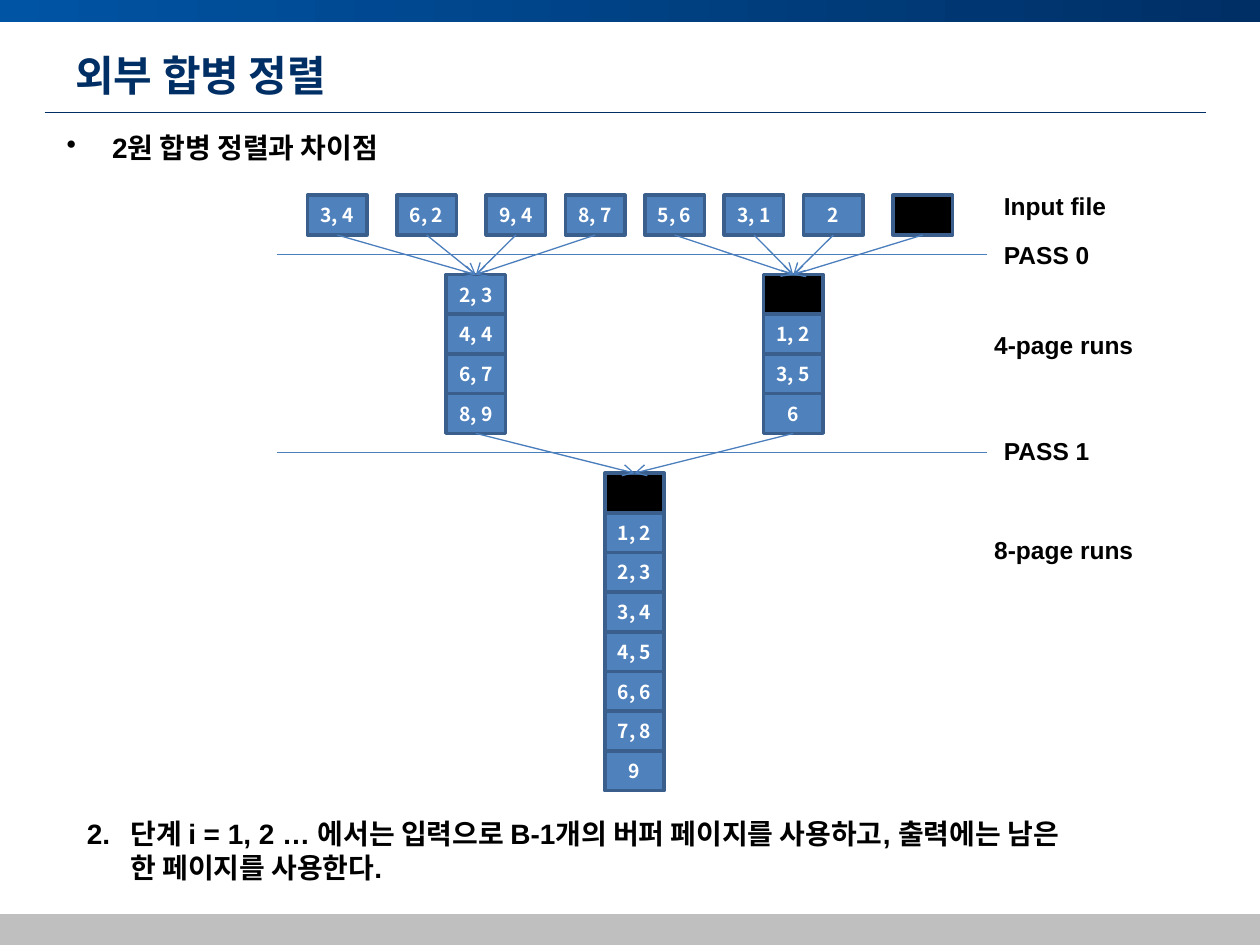
from dataclasses import dataclass
from itertools import accumulate

from pptx import Presentation
from pptx.dml.color import RGBColor
from pptx.enum.shapes import MSO_CONNECTOR as Connector, MSO_SHAPE as Shape
from pptx.enum.text import MSO_ANCHOR as Anchor, MSO_AUTO_SIZE as AutoSize, PP_ALIGN as Align
from pptx.oxml.ns import qn
from pptx.util import Pt
from lxml.etree import SubElement


@dataclass(frozen=True)
class Theme:
    navy: str = "002F65"
    blue: str = "0054A4"
    gray: str = "BFBFBF"
    page: str = "4F81BD"
    page_edge: str = "3A5F8C"
    arrow: str = "4B7EBC"
    black: str = "000000"
    white: str = "FFFFFF"
    latin: str = "Arial"
    korean: str = "Noto Sans CJK KR"
    title_size: int = 24
    body_size: int = 16
    label_size: int = 14
    page_size: int = 11


THEME = Theme()
PAGE_WIDTH, PAGE_HEIGHT = 34.02, 22.68
GRID = 5.67
FIRST_LEFT, INPUT_TOP = 175.75, 111.6
RUN_TOP = INPUT_TOP + 2 * PAGE_HEIGHT
MERGED_TOP = RUN_TOP + 5 * PAGE_HEIGHT

# An empty string is a blank (black) page.
INPUT_PAGES = ["3, 4", "6, 2", "9, 4", "8, 7", "5, 6", "3, 1", "2", ""]
INPUT_STEPS = [9, 9, 8, 8, 8, 8, 9]
RUNS = [
    (254.9, ["2, 3", "4, 4", "6, 7", "8, 9"]),
    (436.3, ["", "1, 2", "3, 5", "6"]),
]
MERGED_LEFT = 345.6
MERGED_RUN = ["", "1, 2", "2, 3", "3, 4", "4, 5", "6, 6", "7, 8", "9"]
LABELS = [
    (566.6, 105.8, 91, "Input file"),
    (566.6, 133.9, 91, "PASS 0"),
    (561, 185, 121.7, "4-page runs"),
    (566.6, 245.5, 91, "PASS 1"),
    (561, 302.4, 121.7, "8-page runs"),
]


def color(hex_value):
    return RGBColor.from_string(hex_value)


def style(paragraph, size, ink, latin=THEME.latin):
    font = paragraph.font
    font.size, font.bold, font.name = Pt(size), True, latin
    font.color.rgb = color(ink)
    SubElement(font._element, qn("a:ea"), typeface=THEME.korean)


def add_rect(slide, left, top, width, height, fill):
    rect = slide.shapes.add_shape(Shape.RECTANGLE, Pt(left), Pt(top), Pt(width), Pt(height))
    rect.shadow.inherit = False
    rect.fill.solid()
    rect.fill.fore_color.rgb = color(fill)
    rect.line.fill.background()
    return rect


def add_header_bar(slide):
    bar = add_rect(slide, 0, 0, 720, 12.5, THEME.blue)
    bar.fill.gradient()
    bar.fill.gradient_angle = 0
    for stop, position, shade in zip(bar.fill.gradient_stops, (0, 1), (THEME.blue, THEME.navy)):
        stop.position = position
        stop.color.rgb = color(shade)


def add_page(slide, left, top, records):
    page = add_rect(slide, left, top, PAGE_WIDTH, PAGE_HEIGHT,
                    THEME.page if records else THEME.black)
    page.line.color.rgb = color(THEME.page_edge)
    page.line.width = Pt(2)
    if records:
        frame = page.text_frame
        frame.margin_left = frame.margin_right = frame.margin_top = frame.margin_bottom = 0
        frame.vertical_anchor = Anchor.MIDDLE
        paragraph = frame.paragraphs[0]
        paragraph.text = records
        paragraph.alignment = Align.CENTER
        style(paragraph, THEME.page_size, THEME.white, THEME.korean)
    return page


def add_run(slide, left, top, pages):
    """Stack the pages of one sorted run from the top down."""
    return [add_page(slide, left, top + row * PAGE_HEIGHT, records)
            for row, records in enumerate(pages)]


def add_line(slide, start, end, ink, width):
    line = slide.shapes.add_connector(Connector.STRAIGHT, *map(Pt, (*start, *end)))
    line.line.color.rgb = color(ink)
    line.line.width = Pt(width)
    SubElement(line._element.spPr, qn("a:effectLst"))
    return line


def add_merge_arrow(slide, source, target):
    arrow = add_line(slide, (0, 0), (0, 0), THEME.arrow, 0.75)
    arrow.begin_connect(source, 2)
    arrow.end_connect(target, 0)
    SubElement(arrow.line._get_or_add_ln(), qn("a:tailEnd"), type="arrow")


def add_text(slide, left, top, width, height, text, size, ink=THEME.black, latin=THEME.latin):
    box = slide.shapes.add_textbox(Pt(left), Pt(top), Pt(width), Pt(height))
    frame = box.text_frame
    frame.word_wrap = True
    frame.auto_size = AutoSize.SHAPE_TO_FIT_TEXT
    paragraph = frame.paragraphs[0]
    paragraph.text = text
    style(paragraph, size, ink, latin)
    return box


def hang(box, indent, bullet=None):
    """Indent all lines but the first, and put a bullet in the gap if given."""
    properties = box.text_frame.paragraphs[0]._p.get_or_add_pPr()
    properties.set("marL", str(Pt(indent)))
    properties.set("indent", str(-Pt(indent)))
    if bullet:
        mark = properties.makeelement(qn("a:buChar"), {"char": bullet})
        properties.insert(0, mark)


def add_diagram(slide):
    lefts = accumulate(INPUT_STEPS, lambda left, step: left + step * GRID, initial=FIRST_LEFT)
    inputs = [add_page(slide, left, INPUT_TOP, records)
              for left, records in zip(lefts, INPUT_PAGES)]
    runs = [add_run(slide, left, RUN_TOP, pages) for left, pages in RUNS]
    merged = add_run(slide, MERGED_LEFT, MERGED_TOP, MERGED_RUN)

    for pass_y in (145.4, 258.5):
        add_line(slide, (563.8, pass_y), (158.4, pass_y), THEME.arrow, 0.75)
    for left, top, width, label in LABELS:
        add_text(slide, left, top, width, 24.5, label, THEME.label_size)

    for index, page in enumerate(inputs):
        add_merge_arrow(slide, page, runs[index // 4][0])
    for run in runs:
        add_merge_arrow(slide, run[-1], merged[0])


def main():
    deck = Presentation()
    deck.slide_width, deck.slide_height = Pt(720), Pt(540)
    slide = deck.slides.add_slide(deck.slide_layouts[6])

    add_header_bar(slide)
    add_line(slide, (25.5, 64), (689, 64), THEME.navy, 0.5)
    add_rect(slide, 0, 522.4, 720, 17.6, THEME.gray)
    title = add_text(slide, 36, 21.6, 648, 41.8, "외부 합병 정렬",
                     THEME.title_size, THEME.navy, THEME.korean)
    title.text_frame.auto_size = AutoSize.NONE
    title.text_frame.vertical_anchor = Anchor.MIDDLE

    add_diagram(slide)

    step = add_text(slide, 42.5, 463, 635, 46,
                    "2.\t단계 i = 1, 2 … 에서는 입력으로 B-1개의 버퍼 페이지를 사용하고, 출력에는 남은"
                    "\v한 페이지를 사용한다.", THEME.body_size)
    hang(step, 25)
    topic = add_text(slide, 31, 71.3, 292.3, 26.6, "2원 합병 정렬과 차이점", THEME.body_size)
    hang(topic, 26, "•")

    deck.save("out.pptx")


if __name__ == "__main__":
    main()
